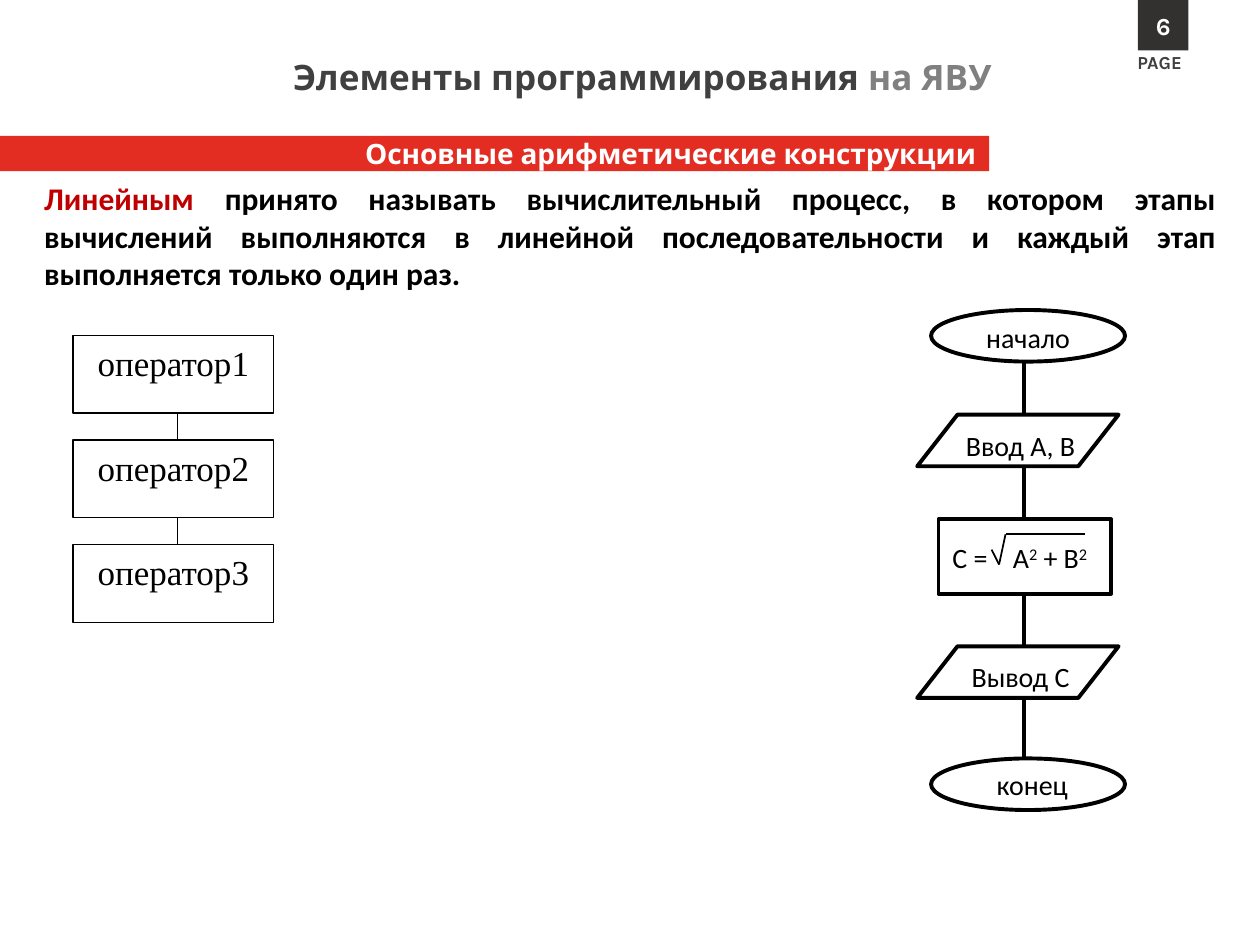
from itertools import pairwise

from lxml.etree import SubElement
from pptx import Presentation
from pptx.dml.color import RGBColor
from pptx.enum.shapes import MSO_CONNECTOR, MSO_SHAPE as SHAPE
from pptx.enum.text import MSO_ANCHOR as ANCHOR, PP_ALIGN as ALIGN
from pptx.oxml.ns import qn
from pptx.util import Cm, Pt

COLORS = {
    "red": "E32C22", "accent": "C00000", "badge": "333030", "dark": "404040",
    "gray": "808080", "black": "000000", "white": "FFFFFF",
}


def rgb(name):
    return RGBColor.from_string(COLORS[name])


def add_runs(p, parts, size, font, bold=False):
    """Add (text, color) runs to a paragraph and return them."""
    runs = []
    for text, color in parts:
        r = p.add_run()
        r.text = text
        r.font.size, r.font.name, r.font.bold = Pt(size), font, bold
        r.font.color.rgb = rgb(color)
        runs.append(r)
    return runs


def add_block(shapes, kind, box, fill=None, line=None):
    sp = shapes.add_shape(kind, *map(Cm, box))
    sp.shadow.inherit = False
    if fill:
        sp.fill.solid()
        sp.fill.fore_color.rgb = rgb(fill)
    else:
        sp.fill.background()
    if line:
        sp.line.color.rgb = rgb("black")
        sp.line.width = Pt(line)
    else:
        sp.line.fill.background()
    return sp


def add_line(shapes, start, end, width):
    line = shapes.add_connector(MSO_CONNECTOR.STRAIGHT, *map(Cm, start + end))
    line.line.color.rgb = rgb("black")
    line.line.width = Pt(width)
    SubElement(line._element.spPr, qn("a:effectLst"))


def add_label(shapes, box, parts, size, font, align=ALIGN.CENTER, bold=False, wrap=True):
    tf = shapes.add_textbox(*map(Cm, box)).text_frame
    tf.word_wrap = wrap
    p = tf.paragraphs[0]
    p.alignment = align
    return p, add_runs(p, parts, size, font, bold)


def add_bar(shapes, box, fill, text, size, align):
    """Filled bar with white bold text."""
    tf = add_block(shapes, SHAPE.RECTANGLE, box, fill).text_frame
    tf.vertical_anchor = ANCHOR.MIDDLE
    p = tf.paragraphs[0]
    p.alignment = align
    add_runs(p, [(text, "white")], size, "Karla", True)


def add_header(slide, width):
    shapes = slide.shapes
    add_bar(shapes, (0, 2.74, 19.94, 0.71), "red",
            "Основные арифметические конструкции", 16, ALIGN.RIGHT)
    # Page number
    add_label(shapes, (width - 2.72, 0.91, 1.5, 0.71), [("PAGE", "dark")],
              10.5, "Karla", ALIGN.LEFT, True, wrap=False)
    add_bar(shapes, (width - 2.46, 0, 1.02, 1.02), "badge", "6", 14, ALIGN.CENTER)
    # Title
    add_label(shapes, (0.38, 0.99, 19.86, 1.12),
              [("Элементы программирования ", "dark"), ("на ЯВУ", "gray")],
              20, "Karla", ALIGN.RIGHT, True)


def add_definition(slide, box):
    add_label(slide.shapes, box, [
        ("Линейным", "accent"),
        (" принято называть вычислительный процесс, в котором этапы вычислений "
         "выполняются в линейной последовательности и каждый этап выполняется "
         "только один раз.", "black"),
    ], 18, "Calibri", ALIGN.JUSTIFY, True)


def add_operators(slide, left, top, width):
    """Column of operator blocks joined by short lines."""
    shapes = slide.shapes.add_group_shape().shapes
    height, pitch, count = 1.57, 2.11, 3
    for i in range(count):
        y = top + i * pitch
        add_block(shapes, SHAPE.RECTANGLE, (left + 0.58, y, 4.04, height), "white", 0.75)
        if i < count - 1:
            x = left + 2.69
            add_line(shapes, (x, y + height), (x, y + pitch), 0.75)
        add_label(shapes, (left, y, width, height),
                  [(f"оператор{i + 1}", "black")], 20, "Times New Roman")


def add_formula(shapes, left, top):
    """C as the root of a sum of squares; the root sign fills the tab gap."""
    texts = ("С =\tА", "2", " + В", "2")
    p, runs = add_label(shapes, (left, top, 3.63, 0.94), [(t, "black") for t in texts],
                        16, "Calibri", ALIGN.LEFT)
    tabs = SubElement(p._p.get_or_add_pPr(), qn("a:tabLst"))
    SubElement(tabs, qn("a:tab"), pos=str(Cm(1.22)), algn="l")
    for r in runs[1::2]:
        r._r.get_or_add_rPr().set("baseline", "30000")
    root = [(2.92, 0), (1.32, 0), (1.19, 0.61), (1.04, 0.31)]
    for start, end in pairwise((left + x, top + y) for x, y in root):
        add_line(shapes, start, end, 1)


def add_flowchart(slide, left, top):
    shapes = slide.shapes.add_group_shape().shapes
    oval = (SHAPE.OVAL, 0.28, 3.91, 1.04)
    data = (SHAPE.FLOWCHART_DATA, 0, 4.06, 1.04)
    process = (SHAPE.RECTANGLE, 0.43, 3.48, 1.5)
    # Block, top, text, then the label's left, drop and width
    steps = [
        (oval, 0, "начало", 0.28, 0.08, 3.91),
        (data, 2.11, "Ввод А, В", 0.13, 0.15, 3.91),
        (process, 4.22, None, 0.46, 0.3, 3.63),
        (data, 6.78, "Вывод С", 0.13, 0.15, 3.91),
        (oval, 9.04, "конец", 0.43, 0.05, 3.78),
    ]
    for (kind, x, w, h), y, text, label_x, drop, label_w in steps:
        add_block(shapes, kind, (left + x, top + y, w, h), line=2.25)
        label_left, label_top = left + label_x, top + y + drop
        if text:
            add_label(shapes, (label_left, label_top, label_w, 0.94),
                      [(text, "black")], 16, "Calibri")
        else:
            add_formula(shapes, label_left, label_top)
    # Links between neighbouring blocks
    x = left + 2.16
    for (block, y, *_), (_, next_y, *_) in pairwise(steps):
        add_line(shapes, (x, top + y + block[3]), (x, top + next_y), 2.25)


def main():
    prs = Presentation()
    prs.slide_width, prs.slide_height = Cm(25.4), Cm(19.05)
    slide = prs.slides.add_slide(prs.slide_layouts[6])
    add_header(slide, 25.4)
    add_definition(slide, (0.64, 3.48, 24.13, 2.57))
    add_operators(slide, 0.89, 6.76, 5.21)
    add_flowchart(slide, 18.49, 6.25)
    prs.save("out.pptx")


if __name__ == "__main__":
    main()
